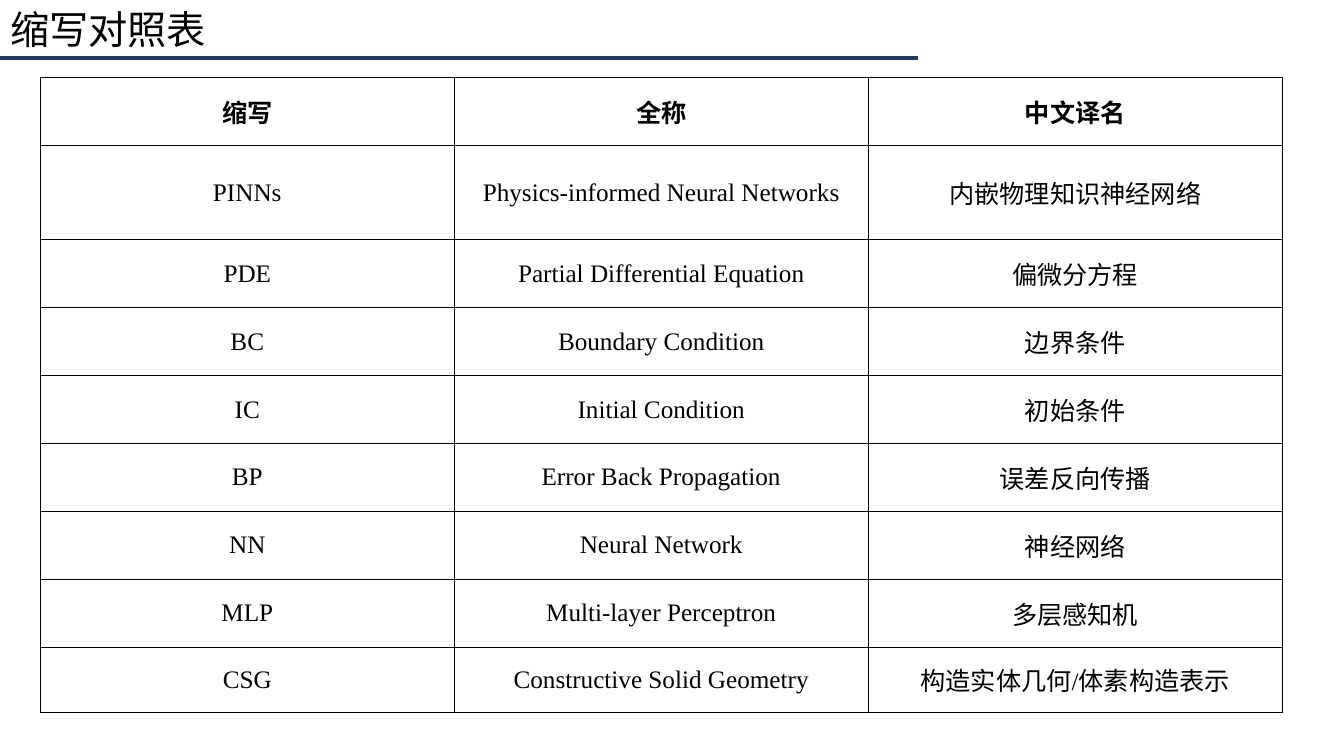
from lxml import etree
from pptx import Presentation
from pptx.dml.color import RGBColor
from pptx.enum.shapes import MSO_CONNECTOR as Connector
from pptx.enum.text import MSO_ANCHOR as Anchor, MSO_AUTO_SIZE as AutoSize, PP_ALIGN as Align
from pptx.oxml import parse_xml
from pptx.oxml.ns import nsdecls, qn
from pptx.util import Pt

BLACK, NAVY = "000000", "203864"
CJK_FONT, LATIN_FONT = "Noto Sans CJK SC", "Times New Roman"

ABBREVIATIONS = [
    ("缩写", "全称", "中文译名"),
    ("PINNs", "Physics-informed Neural Networks", "内嵌物理知识神经网络"),
    ("PDE", "Partial Differential Equation", "偏微分方程"),
    ("BC", "Boundary Condition", "边界条件"),
    ("IC", "Initial Condition", "初始条件"),
    ("BP", "Error Back Propagation", "误差反向传播"),
    ("NN", "Neural Network", "神经网络"),
    ("MLP", "Multi-layer Perceptron", "多层感知机"),
    ("CSG", "Constructive Solid Geometry", "构造实体几何/体素构造表示"),
]
ROW_HEIGHTS = [48.57, 67.14] + [48.57] * 6 + [46.43]


def color(hex_text):
    return RGBColor.from_string(hex_text)


class SlideBuilder:
    """Holds the text style and the slide being filled."""

    def __init__(self, slide, cell_size=18, border_width=1):
        self.slide = slide
        self.cell_size = cell_size
        self.border_width = border_width

    def style(self, paragraph, size, font_name, align, bold=False):
        paragraph.alignment = align
        for run in paragraph.runs:
            run.font.size, run.font.bold = Pt(size), bold
            run.font.color.rgb = color(BLACK)
            run.font.name = font_name
            east_asian = etree.SubElement(run.font._element, qn("a:ea"))
            east_asian.set("typeface", CJK_FONT)

    def title(self, text, left, top, width, height):
        shape = self.slide.shapes.title
        shape.left, shape.top, shape.width, shape.height = map(Pt, (left, top, width, height))
        frame = shape.text_frame
        frame.text = text
        frame.word_wrap = False
        frame.auto_size = AutoSize.SHAPE_TO_FIT_TEXT
        frame.vertical_anchor = Anchor.TOP
        self.style(frame.paragraphs[0], 28, CJK_FONT, Align.LEFT)

    def rule(self, start, end, y, width):
        line = self.slide.shapes.add_connector(Connector.STRAIGHT, Pt(start), Pt(y), Pt(end), Pt(y))
        line.line.color.rgb = color(NAVY)
        line.line.width = Pt(width)
        etree.SubElement(line._element.spPr, qn("a:effectLst"))

    def border(self, cell):
        properties = cell._tc.get_or_add_tcPr()
        for side in "LRTB":
            properties.append(parse_xml(
                f'<a:ln{side} {nsdecls("a")} w="{Pt(self.border_width)}"><a:solidFill>'
                f'<a:srgbClr val="{BLACK}"/></a:solidFill></a:ln{side}>'))

    def table(self, rows, left, top, column_width, row_heights):
        columns = len(rows[0])
        table = self.slide.shapes.add_table(
            len(rows), columns, Pt(left), Pt(top),
            Pt(column_width * columns), Pt(sum(row_heights))).table
        table.first_row = table.horz_banding = False
        for column in table.columns:
            column.width = Pt(column_width)
        for row_index, (values, height) in enumerate(zip(rows, row_heights)):
            table.rows[row_index].height = Pt(height)
            for column_index, value in enumerate(values):
                cell = table.cell(row_index, column_index)
                cell.text_frame.text = value
                cell.vertical_anchor = Anchor.MIDDLE
                self.border(cell)
                cell.fill.background()
                self.style(cell.text_frame.paragraphs[0], self.cell_size, LATIN_FONT,
                           Align.CENTER, bold=row_index == 0)


def main():
    presentation = Presentation()
    presentation.slide_width, presentation.slide_height = Pt(960), Pt(540)
    title_only = presentation.slide_layouts[5]
    builder = SlideBuilder(presentation.slides.add_slide(title_only))

    # Heading with its underline
    builder.title("缩写对照表", 0, 0, 156, 41.2)
    builder.rule(-18.7, 656, 41.5, 3)

    # Table of abbreviations
    builder.table(ABBREVIATIONS, 28.8, 55.4, 295.7, ROW_HEIGHTS)

    presentation.save("out.pptx")


if __name__ == "__main__":
    main()
